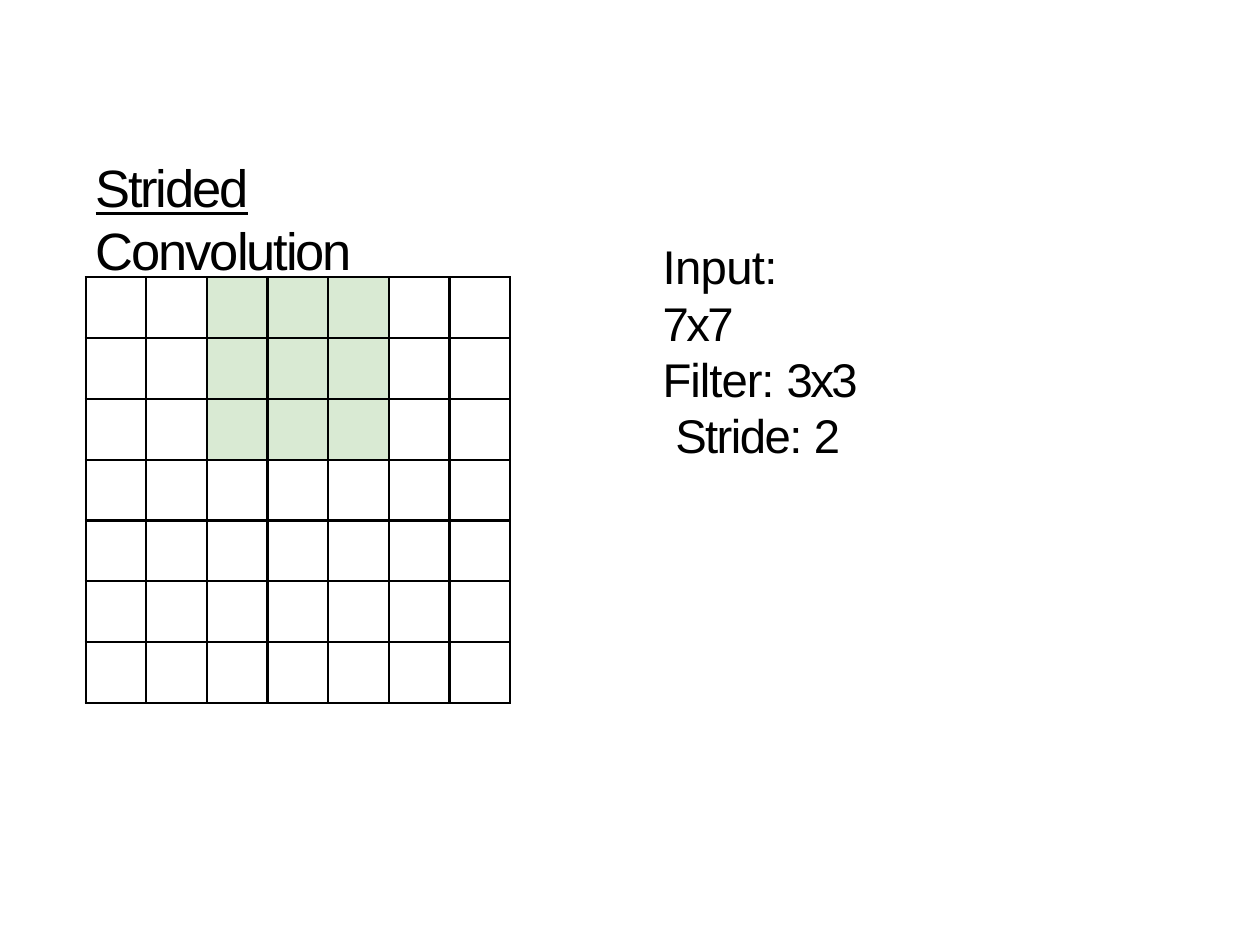
from dataclasses import dataclass

from lxml import etree
from pptx import Presentation
from pptx.dml.color import RGBColor
from pptx.oxml.ns import qn
from pptx.util import Inches, Pt


@dataclass(frozen=True)
class Theme:
    font: str = "Arial"
    ink: str = "000000"
    filter_fill: str = "D9EAD3"
    title_size: float = 30
    body_size: float = 27
    border: float = 1.5


class SlideBuilder:
    def __init__(self, slide, theme):
        self.slide = slide
        self.theme = theme

    def text(self, left, top, width, height, lines, size, leading, top_inset):
        """Each line is (left margin, runs); each run is (text, spacing, underline)."""
        frame = self.slide.shapes.add_textbox(
            Inches(left), Inches(top), Inches(width), Inches(height)).text_frame
        frame.word_wrap = True
        frame.margin_left = frame.margin_right = frame.margin_bottom = 0
        frame.margin_top = Inches(top_inset)
        for index, (margin, runs) in enumerate(lines):
            paragraph = frame.paragraphs[0] if index == 0 else frame.add_paragraph()
            paragraph.line_spacing = Pt(leading)
            properties = paragraph._p.get_or_add_pPr()
            properties.set("marL", str(Inches(margin)))
            properties.set("indent", "0")
            paragraph.font.name = self.theme.font
            paragraph.font.size = Pt(size)
            paragraph.font.color.rgb = RGBColor.from_string(self.theme.ink)
            for words, spacing, underlined in runs:
                run = paragraph.add_run()
                run.text = words
                if underlined:
                    run.font.underline = True
                run._r.get_or_add_rPr().set("spc", str(round(spacing * 100)))

    def grid(self, left, top, width, height, count, shaded):
        table = self.slide.shapes.add_table(
            count, count, Inches(left), Inches(top), Inches(width), Inches(height)).table
        table.first_row = table.horz_banding = False
        for column in table.columns:
            column.width = Inches(width / count)
        for r, row in enumerate(table.rows):
            row.height = Inches(height / count)
            for c, cell in enumerate(row.cells):
                self.borders(cell)
                if (r, c) in shaded:
                    cell.fill.solid()
                    cell.fill.fore_color.rgb = RGBColor.from_string(self.theme.filter_fill)
                else:
                    cell.fill.background()

    def borders(self, cell):
        properties = cell._tc.get_or_add_tcPr()
        for side in ("a:lnL", "a:lnR", "a:lnT", "a:lnB"):
            line = etree.SubElement(properties, qn(side), w=str(Pt(self.theme.border)))
            fill = etree.SubElement(line, qn("a:solidFill"))
            etree.SubElement(fill, qn("a:srgbClr"), val=self.theme.ink)


def main():
    presentation = Presentation()
    presentation.slide_width, presentation.slide_height = Inches(10), Inches(7.5)
    theme = Theme()
    builder = SlideBuilder(
        presentation.slides.add_slide(presentation.slide_layouts[6]), theme)

    # Title, wrapping after the first word
    title = [(0.01, [("Strided", -1.3, True), (" ", -1.9, False),
                     ("Convolution", -1.2, False)])]
    builder.text(0.75, 1.21, 3.25, 0.52, title, theme.title_size, 36, 0.02)

    # Input grid with the filter moved one stride to the right
    input_size, filter_size, stride = 7, 3, 2
    filter_cells = {(row, stride + column)
                    for row in range(filter_size) for column in range(filter_size)}
    builder.grid(0.68, 2.2, 3.37, 3.38, input_size, filter_cells)

    # Convolution settings
    settings = [
        (0.01, [("Input:", -0.4, False)]),
        (0.01, [("7x7", -1.5, False)]),
        (0.01, [("Filter: ", -0.6, False), ("3x3", -1.5, False)]),
        (0.11, [("Stride: ", -0.9, False), ("2", -1.4, False)]),
    ]
    builder.text(5.25, 1.86, 1.7, 1.37, settings, theme.body_size, 32.2, 0.03)

    presentation.save("out.pptx")


if __name__ == "__main__":
    main()
